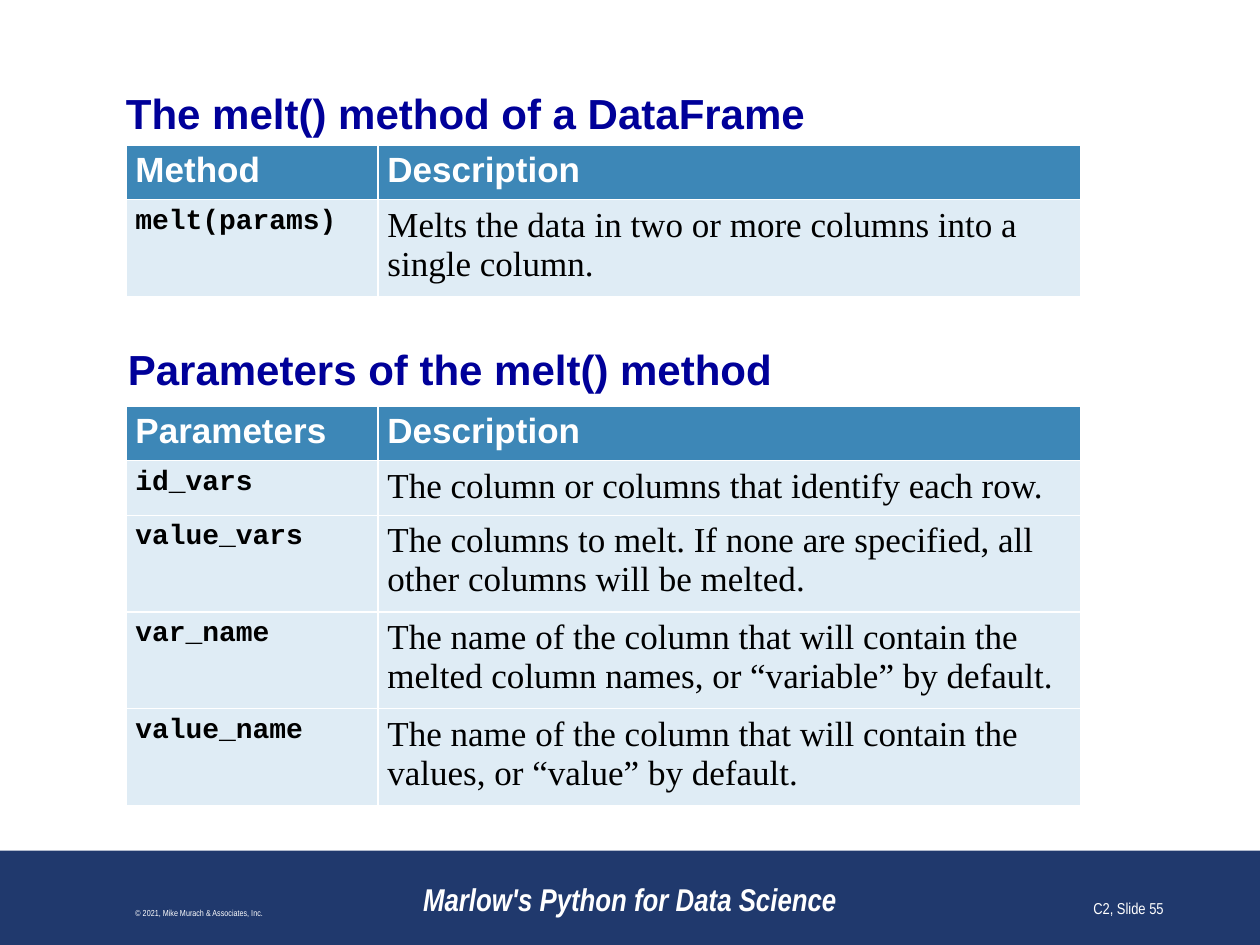
from dataclasses import dataclass

from pptx import Presentation
from pptx.dml.color import RGBColor
from pptx.enum.shapes import MSO_SHAPE
from pptx.enum.text import MSO_ANCHOR, PP_ALIGN
from pptx.util import Pt


@dataclass(frozen=True)
class Theme:
    navy: str = "20396D"
    heading: str = "000099"
    header_fill: str = "3D87B7"
    body_fill: str = "DFECF5"
    white: str = "FFFFFF"
    black: str = "000000"
    sans: str = "Arial"
    narrow: str = "Arial Narrow"
    mono: str = "Courier New"
    serif: str = "Times New Roman"
    heading_size: float = 24
    table_size: float = 20
    code_size: float = 16
    footer_size: float = 18
    number_size: float = 9
    copyright_size: float = 5


THEME = Theme()
COLUMNS = (144, 401.8)
LINE = 22.2
CELL_INSETS = (5.4, 3.6, 5.4, 3.6)

METHOD_ROWS = [
    ("Method", "Description", 1),
    ("melt(params)", "Melts the data in two or more columns into a single column.", 2),
]
PARAMETER_ROWS = [
    ("Parameters", "Description", 1),
    ("id_vars", "The column or columns that identify each row.", 1),
    ("value_vars", "The columns to melt. If none are specified, "
                   "all other columns will be melted.", 2),
    ("var_name", "The name of the column that will contain the "
                 "melted column names, or “variable” by default.", 2),
    ("value_name", "The name of the column that will contain the "
                   "values, or “value” by default.", 2),
]


def set_fill(target, color):
    target.fill.solid()
    target.fill.fore_color.rgb = RGBColor.from_string(color)


def write(para, text, font, size, color, bold=False, italic=False):
    span = para.add_run()
    span.text = text
    span.font.name = font
    span.font.size = Pt(size)
    span.font.color.rgb = RGBColor.from_string(color)
    span.font.bold = bold
    span.font.italic = italic


def set_insets(target, insets):
    sides = ("margin_left", "margin_top", "margin_right", "margin_bottom")
    for side, inset in zip(sides, insets):
        setattr(target, side, Pt(inset))


def add_text(page, box, text, font, size, color, bold=False, italic=False,
             align=PP_ALIGN.LEFT, anchor=MSO_ANCHOR.TOP, insets=(7.2, 3.6, 7.2, 3.6)):
    frame = page.shapes.add_textbox(*map(Pt, box)).text_frame
    frame.word_wrap = True
    frame.vertical_anchor = anchor
    set_insets(frame, insets)
    para = frame.paragraphs[0]
    para.alignment = align
    write(para, text, font, size, color, bold, italic)


def add_heading(page, box, text, **layout):
    add_text(page, box, text, THEME.sans, THEME.heading_size, THEME.heading,
             bold=True, **layout)


def add_reference_table(page, left, top, rows):
    """Two columns, term and description; each row ends with its line count."""
    heights = [lines * LINE + CELL_INSETS[1] + CELL_INSETS[3] for *_, lines in rows]
    box = (left, top, sum(COLUMNS), sum(heights))
    table = page.shapes.add_table(len(rows), len(COLUMNS), *map(Pt, box)).table
    for column, width in zip(table.columns, COLUMNS):
        column.width = Pt(width)

    header_style = (THEME.sans, THEME.table_size, THEME.white, True)
    term_style = (THEME.mono, THEME.code_size, THEME.black, True)
    description_style = (THEME.serif, THEME.table_size, THEME.black, False)
    for index, (term, description, _) in enumerate(rows):
        table.rows[index].height = Pt(heights[index])
        if index == 0:
            fill, styles = THEME.header_fill, (header_style, header_style)
        else:
            fill, styles = THEME.body_fill, (term_style, description_style)
        for cell, text, style in zip(table.rows[index].cells, (term, description), styles):
            set_fill(cell, fill)
            set_insets(cell, CELL_INSETS)
            write(cell.text_frame.paragraphs[0], text, *style)


def add_footer(page, left, top, width, height):
    band = page.shapes.add_shape(MSO_SHAPE.RECTANGLE, *map(Pt, (left, top, width, height)))
    band.shadow.inherit = False
    set_fill(band, THEME.navy)
    band.line.fill.background()

    text_top, text_height = top + 6, 36
    parts = [
        (216, 288, "Marlow's Python for Data Science", THEME.footer_size, True,
         PP_ALIGN.CENTER),
        (6, 216, "© 2021, Mike Murach & Associates, Inc.", THEME.copyright_size, False,
         PP_ALIGN.CENTER),
        (522, 150, "C2, Slide 55", THEME.number_size, False, PP_ALIGN.RIGHT),
    ]
    for offset, part_width, text, size, strong, align in parts:
        add_text(page, (left + offset, text_top, part_width, text_height), text,
                 THEME.narrow, size, THEME.white, bold=strong, italic=strong,
                 align=align, anchor=MSO_ANCHOR.BOTTOM)


def main():
    deck = Presentation()
    deck.slide_width, deck.slide_height = Pt(720), Pt(540)
    page = deck.slides.add_slide(deck.slide_layouts[6])
    add_footer(page, 0, 486, 720, 54)
    add_heading(page, (72, 50, 576, 29), "The melt() method of a DataFrame",
                anchor=MSO_ANCHOR.MIDDLE, insets=(0, 0, 0, 0))
    add_reference_table(page, 72, 82.8, METHOD_ROWS)
    add_heading(page, (66, 193, 582, 36), "Parameters of the melt() method")
    add_reference_table(page, 72, 232, PARAMETER_ROWS)
    deck.save("out.pptx")


if __name__ == "__main__":
    main()
